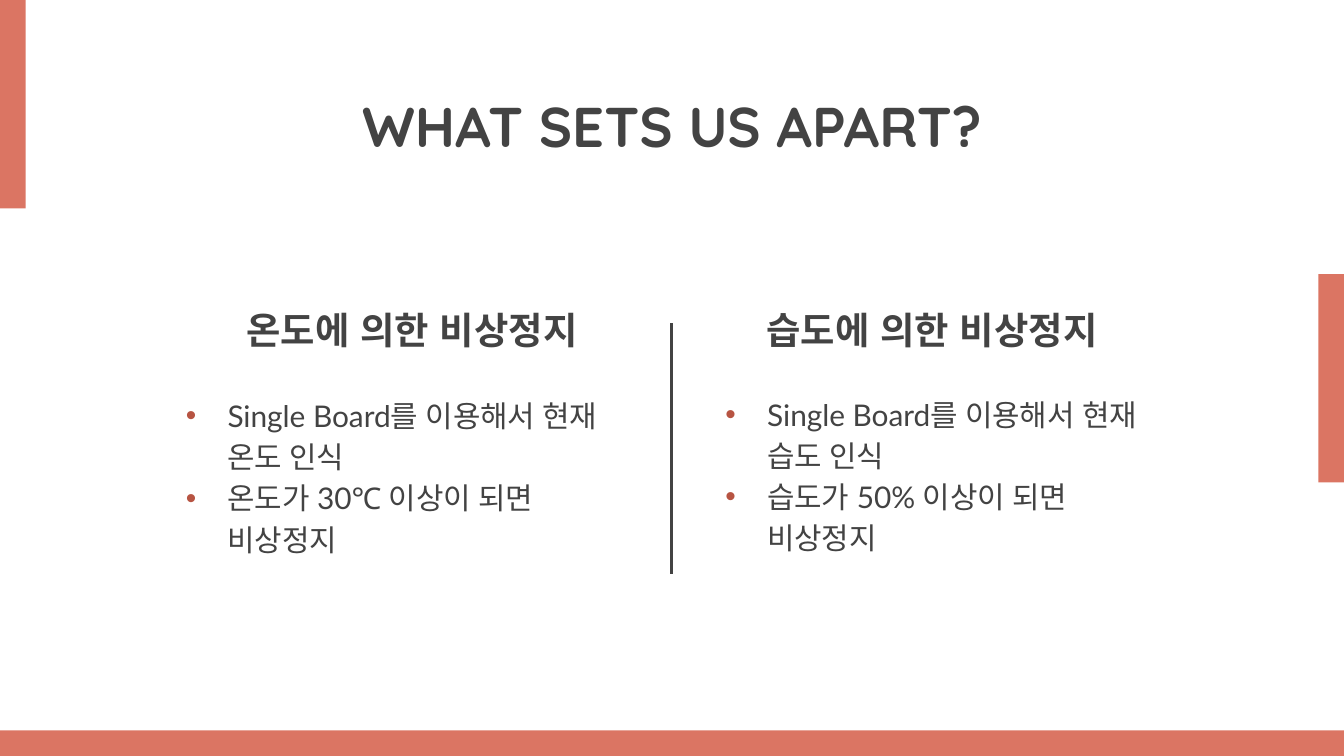
from lxml.etree import SubElement
from pptx import Presentation
from pptx.dml.color import RGBColor as Rgb
from pptx.enum.shapes import MSO_CONNECTOR as Connector, MSO_SHAPE as Shape
from pptx.enum.text import MSO_ANCHOR as Anchor, MSO_AUTO_SIZE as AutoSize, PP_ALIGN as Align
from pptx.oxml.ns import qn
from pptx.util import Inches, Pt

COLORS = {"paper": "FFFFFF", "accent": "DB7563", "bullet": "B75442", "ink": "434343"}
CELL = 0.1  # inches per grid column and row
COLUMNS, ROWS = 100, 56.25


def color(name):
    return Rgb.from_string(COLORS[name])


def grid(*cells):
    return [Inches(cell * CELL) for cell in cells]


def add_bullet(para):
    props = para._p.get_or_add_pPr()
    props.set("marL", str(Inches(0.31)))
    props.set("indent", str(-Inches(0.31)))
    tint = SubElement(props, qn("a:buClr"))
    SubElement(tint, qn("a:srgbClr"), val=COLORS["bullet"])
    SubElement(props, qn("a:buFont"), typeface="Arial")
    SubElement(props, qn("a:buChar"), char="•")


def write(box, lines, font="Quicksand", size=20, bold=False, align=Align.LEFT,
          anchor=Anchor.TOP, bottom=1, bullets=False, spacing=None):
    frame = box.text_frame
    frame.word_wrap = True
    frame.auto_size = AutoSize.NONE
    frame.vertical_anchor = anchor
    frame.margin_left = frame.margin_right = frame.margin_top = Inches(CELL)
    frame.margin_bottom = Inches(bottom * CELL)
    for index, line in enumerate(lines):
        para = frame.add_paragraph() if index else frame.paragraphs[0]
        if bullets:
            add_bullet(para)
        para.alignment = align
        if spacing:
            para.line_spacing = spacing
        span = para.add_run()
        span.text = line
        span.font.name, span.font.size, span.font.bold = font, Pt(size), bold
        span.font.color.rgb = color("ink")
        # Same typeface for Korean and complex scripts
        for script in ("a:ea", "a:cs"):
            SubElement(span._r.get_or_add_rPr(), qn(script), typeface=font)


class SlideBuilder:
    def __init__(self, deck):
        self.page = deck.slides.add_slide(deck.slide_layouts[5])
        self.page.background.fill.solid()
        self.page.background.fill.fore_color.rgb = color("paper")

    def bar(self, *place):
        bar = self.page.shapes.add_shape(Shape.RECTANGLE, *grid(*place))
        bar.shadow.inherit = False
        bar.fill.solid()
        bar.fill.fore_color.rgb = color("accent")
        bar.line.fill.background()

    def title(self, text, *place):
        box = self.page.shapes.title
        box.left, box.top, box.width, box.height = grid(*place)
        box.fill.solid()
        box.fill.fore_color.rgb = color("paper")
        write(box, [text], size=30, bold=True, align=Align.CENTER, anchor=Anchor.MIDDLE)

    def heading(self, text, *place):
        box = self.page.shapes.add_textbox(*grid(*place))
        write(box, [text], bold=True, align=Align.CENTER, anchor=Anchor.BOTTOM, bottom=2)

    def bullet_list(self, lines, *place):
        box = self.page.shapes.add_textbox(*grid(*place))
        write(box, lines, font="Lato", size=16, bullets=True, spacing=1.15)

    def divider(self, column, top, bottom):
        line = self.page.shapes.add_connector(
            Connector.STRAIGHT, *grid(column, top, column, bottom))
        line.line.color.rgb = color("ink")
        line.line.width = Pt(1.5)
        SubElement(line._element.spPr, qn("a:effectLst"))


def main():
    deck = Presentation()
    deck.slide_width, deck.slide_height = grid(COLUMNS, ROWS)
    slide = SlideBuilder(deck)

    # Accent bars on the edges
    thick, long = 1.9, 15.5
    slide.bar(0, 0, thick, long)
    slide.bar(COLUMNS - thick, 20.4, thick, long)
    slide.bar(0, ROWS - thick, COLUMNS, thick)

    # Title
    slide.title("WHAT SETS US APART?", 17.55, 5.4, 64.9, 7.8)

    # Two columns: quantity, limit, heading column, list column, list row
    width = 35.7
    topics = [("온도", "30℃", 12.8, 12.85, 28.2), ("습도", "50%", 51.5, 53, 28.1)]
    for quantity, limit, heading_left, list_left, list_top in topics:
        slide.heading(f"{quantity}에 의한 비상정지", heading_left, 23.4, width, 4.8)
        slide.bullet_list([f"Single Board를 이용해서 현재 {quantity} 인식",
                           f"{quantity}가 {limit} 이상이 되면 비상정지"],
                          list_left, list_top, width, 13.4)

    # Line between the columns
    slide.divider(49.95, 24.05, 42.7)
    deck.save("out.pptx")


if __name__ == "__main__":
    main()
